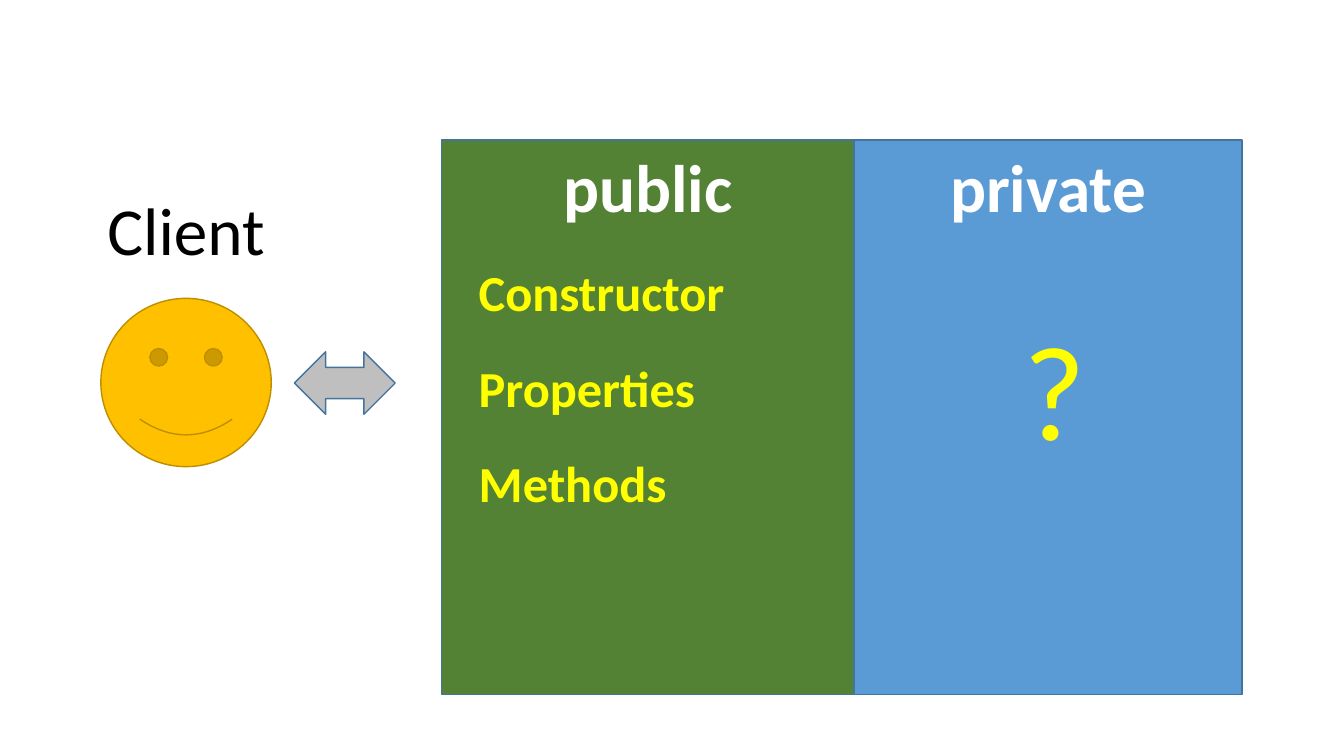
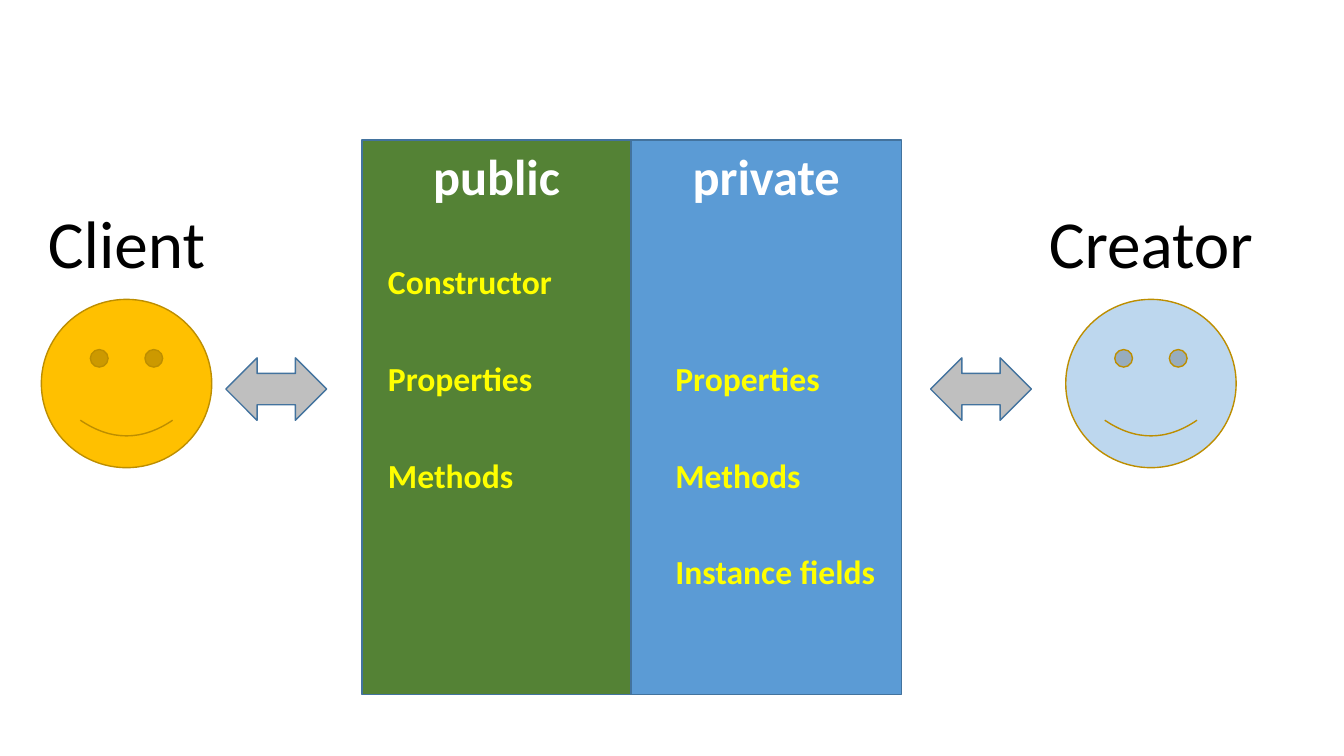
from pptx import Presentation
from pptx.dml.color import RGBColor
from pptx.enum.shapes import MSO_SHAPE as Shape
from pptx.enum.text import MSO_ANCHOR as Anchor, PP_ALIGN as Align
from pptx.util import Inches, Pt

BLACK = RGBColor(0x00, 0x00, 0x00)
WHITE = RGBColor(0xFF, 0xFF, 0xFF)
YELLOW = RGBColor(0xFF, 0xFF, 0x00)
GREEN = RGBColor(0x54, 0x82, 0x35)
BLUE = RGBColor(0x5B, 0x9B, 0xD5)
PALE_BLUE = RGBColor(0xBD, 0xD7, 0xEE)
GOLD = RGBColor(0xFF, 0xC0, 0x00)
GREY = RGBColor(0xBF, 0xBF, 0xBF)
BLUE_EDGE = RGBColor(0x43, 0x73, 0x9E)
GOLD_EDGE = RGBColor(0xBD, 0x8E, 0x00)


class DiagramDeck:
    font_name = "Calibri"
    panel_top, panel_height = 1.39, 5.5
    face_width, face_height = 1.69, 1.67
    name_width = 2.25
    member_top = 2.54
    blank_layout = 6

    def __init__(self):
        self.deck = Presentation()
        self.deck.slide_width = Inches(13.33)
        self.deck.slide_height = Inches(7.5)
        self.page = None

    def new_page(self):
        layout = self.deck.slide_layouts[self.blank_layout]
        self.page = self.deck.slides.add_slide(layout)

    def set_text(self, frame, text, size, color, bold=False, align=Align.LEFT):
        frame.word_wrap = True
        frame.vertical_anchor = Anchor.TOP
        para = frame.paragraphs[0]
        para.text = text
        para.alignment = align
        font = para.font
        font.name, font.size, font.bold = self.font_name, Pt(size), bold
        font.color.rgb = color

    def shape(self, kind, left, top, width, height, fill, edge):
        shape = self.page.shapes.add_shape(
            kind, Inches(left), Inches(top), Inches(width), Inches(height))
        shape.shadow.inherit = False
        shape.fill.solid()
        shape.fill.fore_color.rgb = fill
        shape.line.color.rgb = edge
        shape.line.width = Pt(1)
        return shape

    def label(self, text, left, top, width, height, size, color, **style):
        box = self.page.shapes.add_textbox(
            Inches(left), Inches(top), Inches(width), Inches(height))
        self.set_text(box.text_frame, text, size, color, **style)

    def panel(self, heading, left, width, fill, size):
        panel = self.shape(Shape.RECTANGLE, left, self.panel_top, width,
                           self.panel_height, fill, BLUE_EDGE)
        self.set_text(panel.text_frame, heading, size, WHITE, bold=True, align=Align.CENTER)

    def person(self, name, left, face_top, name_top, fill):
        self.shape(Shape.SMILEY_FACE, left, face_top, self.face_width,
                   self.face_height, fill, GOLD_EDGE)
        name_left = left + (self.face_width - self.name_width) / 2
        self.label(name, name_left, name_top, self.name_width, 0.91, 48, BLACK,
                   align=Align.CENTER)

    def exchange(self, left, top):
        self.shape(Shape.LEFT_RIGHT_ARROW, left, top, 1, 0.62, GREY, BLUE_EDGE)

    def members(self, names, left, width, height, size, pitch, first_row=0):
        for row, name in enumerate(names, first_row):
            self.label(name, left, self.member_top + row * pitch, width, height,
                       size, YELLOW, bold=True)

    def save(self):
        self.deck.save("out.pptx")


def client_view(diagram):
    diagram.new_page()
    diagram.panel("public", 4.38, 4.09, GREEN, 48)
    diagram.panel("private", 8.47, 3.85, BLUE, 48)
    diagram.person("Client", 1, 2.96, 1.82, GOLD)
    diagram.exchange(2.92, 3.49)
    diagram.members(["Constructor", "Properties", "Methods"], 4.65, 3, 0.71, 36, 0.95)
    diagram.label("?", 10.05, 2.99, 1.56, 1.72, 96, YELLOW)


def creator_view(diagram):
    diagram.new_page()
    diagram.panel("public", 3.59, 2.67, GREEN, 36)
    diagram.panel("private", 6.26, 2.68, BLUE, 36)
    for name, left, fill in [("Client", 0.41, GOLD), ("Creator", 10.57, PALE_BLUE)]:
        diagram.person(name, left, 2.97, 1.95, fill)
    for left in (2.24, 9.23):
        diagram.exchange(left, 3.55)
    diagram.members(["Constructor", "Properties", "Methods"], 3.75, 2.3, 0.5, 24, 0.96)
    diagram.members(["Properties", "Methods", "Instance fields"], 6.6, 2.3, 0.5, 24, 0.96,
                    first_row=1)


def main():
    diagram = DiagramDeck()
    client_view(diagram)
    creator_view(diagram)
    diagram.save()


if __name__ == "__main__":
    main()
